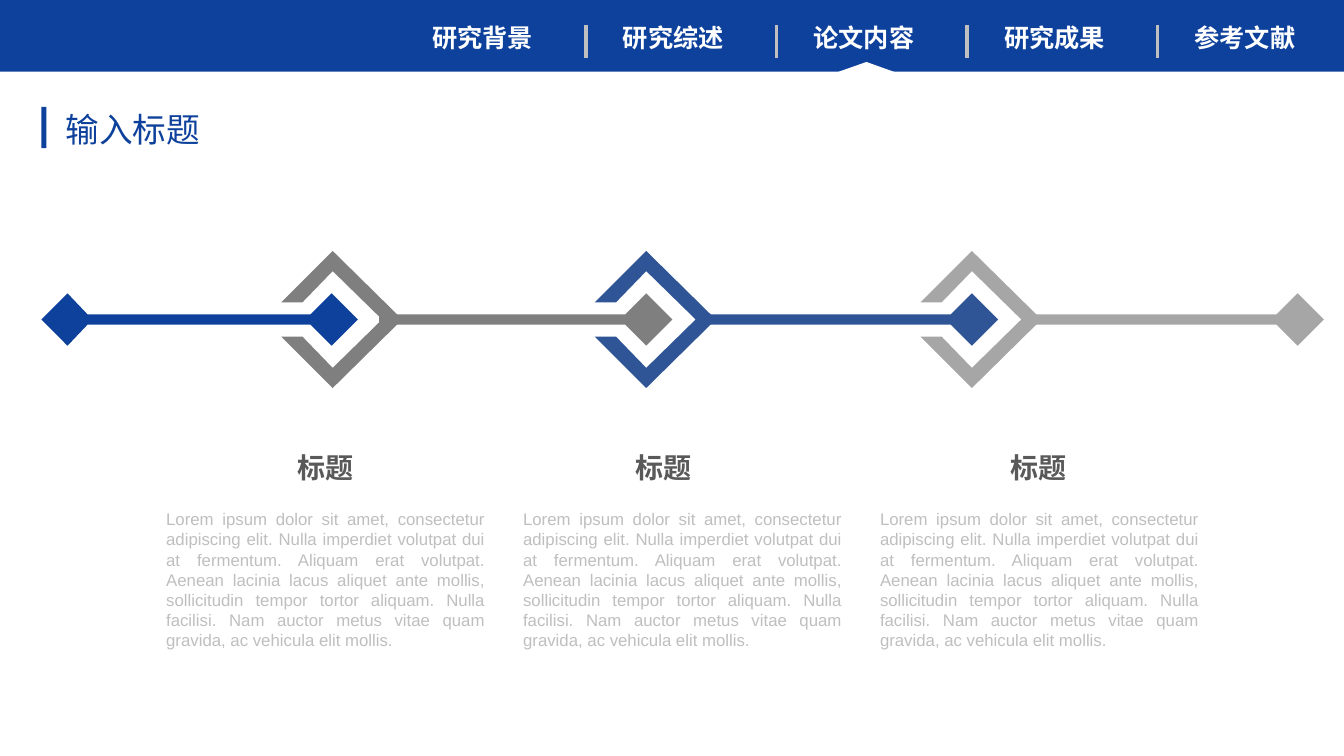
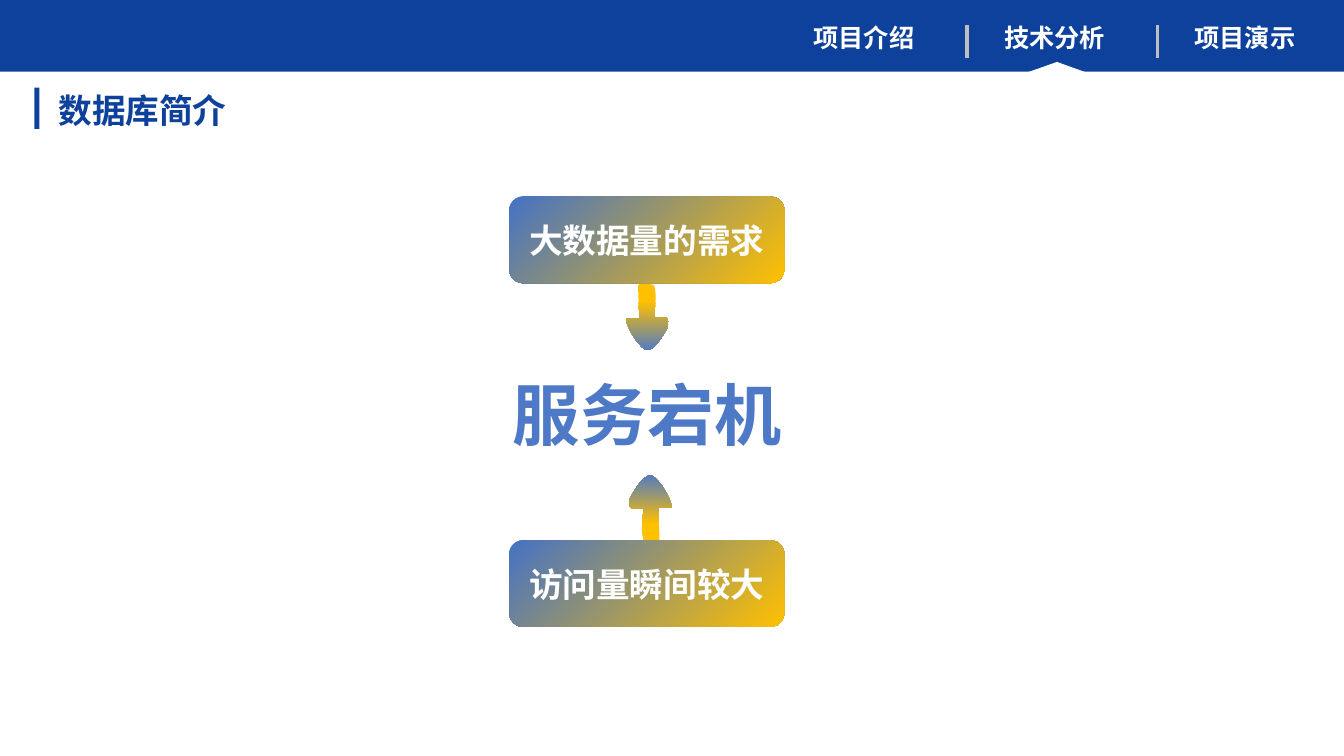
from lxml import etree
from pptx import Presentation
from pptx.dml.color import RGBColor
from pptx.enum.shapes import MSO_CONNECTOR, MSO_SHAPE
from pptx.enum.text import MSO_ANCHOR, MSO_AUTO_SIZE, PP_ALIGN
from pptx.oxml.ns import qn
from pptx.util import Inches, Pt

RECTANGLE, ROUNDED, TRIANGLE = MSO_SHAPE.RECTANGLE, MSO_SHAPE.ROUNDED_RECTANGLE, MSO_SHAPE.ISOSCELES_TRIANGLE
STRAIGHT = MSO_CONNECTOR.STRAIGHT
LEFT, CENTER, JUSTIFY = PP_ALIGN.LEFT, PP_ALIGN.CENTER, PP_ALIGN.JUSTIFY
TOP, MIDDLE = MSO_ANCHOR.TOP, MSO_ANCHOR.MIDDLE
NO_FIT = MSO_AUTO_SIZE.NONE

WIDTH, HEIGHT = 13.33, 7.5
LATIN, HAN = "Arial", "Noto Sans CJK SC"
NAVY, STEEL, GRAY, SILVER = "0E419C", "2F5597", "7F7F7F", "A6A6A6"
WHITE, PALE, CHARCOAL = "FFFFFF", "BFBFBF", "595959"
BLUE, SOFT_BLUE, GOLD = "4472C4", "4D79C7", "FFC000"

NAV_FORMAT = {"name": HAN, "size": Pt(18), "bold": True}
TITLE_FORMAT = {"name": LATIN, "size": Pt(24), "bold": False}
STRONG_FORMAT = {"name": LATIN, "size": Pt(24), "bold": True}
HEADING_FORMAT = {"name": LATIN, "size": Pt(20), "bold": True}
BODY_FORMAT = {"name": LATIN, "size": Pt(12), "bold": False}
HERO_FORMAT = {"name": LATIN, "size": Pt(48), "bold": True}

NAV_LAST, NAV_PITCH = 11.75, 1.89
AXIS = 3.17
LOREM = (
    "Lorem ipsum dolor sit amet, consectetur adipiscing elit. Nulla imperdiet "
    "volutpat dui at fermentum. Aliquam erat volutpat. Aenean lacinia lacus aliquet "
    "ante mollis, sollicitudin tempor tortor aliquam. Nulla facilisi. Nam auctor "
    "metus vitae quam gravida, ac vehicula elit mollis."
)
ARROW_START = (0.24, 0)
ARROW_CURVES = [
    ((0.27, 0), (0.28, 0.01), (0.28, 0.02)),
    ((0.31, 0.12), (0.28, 0.23), (0.28, 0.33)),
    ((0.32, 0.33), (0.38, 0.32), (0.4, 0.33)),
    ((0.46, 0.37), (0.39, 0.47), (0.37, 0.5)),
    ((0.34, 0.55), (0.29, 0.63), (0.23, 0.65)),
    ((0.18, 0.67), (0.13, 0.59), (0.1, 0.56)),
    ((0.06, 0.5), (0.01, 0.42), (0, 0.35)),
    ((-0.01, 0.34), (0.01, 0.33), (0.02, 0.34)),
    ((0.05, 0.33), (0.1, 0.34), (0.13, 0.34)),
    ((0.13, 0.23), (0.12, 0.13), (0.12, 0.03)),
    ((0.12, 0.01), (0.12, 0), (0.13, 0)),
]


def color(value):
    """Turn a hex string into a colour."""
    return RGBColor.from_string(value)


def inches(*values):
    """Convert several lengths at once."""
    return [Inches(value) for value in values]


def finish(shape, fill):
    """Give a shape a plain fill, with no line or shadow."""
    shape.shadow.inherit = False
    shape.line.fill.background()
    shape.fill.solid()
    shape.fill.fore_color.rgb = color(fill)
    return shape


def blend(shape, angle, *stops):
    """Fill a shape with a gradient of (position, colour) stops."""
    shape.fill.gradient()
    shape.fill.gradient_angle = angle
    for stop, (position, value) in zip(shape.fill.gradient_stops, stops):
        stop.position = position
        stop.color.rgb = color(value)


def add_block(page, kind, place, fill):
    """Add a filled preset shape."""
    return finish(page.shapes.add_shape(kind, *inches(*place)), fill)


def add_outline(page, points, fill):
    """Add a filled polygon through the given points."""
    start, *others = [inches(*point) for point in points]
    builder = page.shapes.build_freeform(*start)
    builder.add_line_segments(others, close=True)
    return finish(builder.convert_to_shape(), fill)


def round_outline(shape):
    """Turn each three line segments of an outline into one Bézier curve."""
    lines = list(shape.element.iter(qn("a:lnTo")))
    for first, second, end in zip(lines[::3], lines[1::3], lines[2::3]):
        curve = etree.Element(qn("a:cubicBezTo"))
        first.addprevious(curve)
        for line in (first, second, end):
            curve.append(line[0])
            line.getparent().remove(line)


def write(box, text, look, fill, align=LEFT, anchor=TOP, wrap=True, spacing=1.0):
    """Write one formatted paragraph into a shape."""
    frame = box.text_frame
    settings = {"word_wrap": wrap, "auto_size": NO_FIT, "vertical_anchor": anchor}
    for name, value in settings.items():
        setattr(frame, name, value)
    para = frame.paragraphs[0]
    para.alignment, para.line_spacing = align, spacing
    span = para.add_run()
    span.text = text
    for name, value in look.items():
        setattr(span.font, name, value)
    span.font.color.rgb = color(fill)
    etree.SubElement(span._r.get_or_add_rPr(), qn("a:ea"), typeface=HAN)


def add_text(page, place, text, look, fill, **options):
    """Add a text box."""
    write(page.shapes.add_textbox(*inches(*place)), text, look, fill, **options)


def add_separator(page, x):
    """Add an upright rule between two navigation entries."""
    rule = page.shapes.add_connector(STRAIGHT, *inches(x, 0.25, x, 0.58))
    rule.line.color.rgb = color(PALE)
    rule.line.width = Pt(2.5)
    etree.SubElement(rule.element.spPr, qn("a:effectLst"))


def add_navigation(page, entries, current):
    """Add the top band, its right-aligned entries and the pointer."""
    add_block(page, RECTANGLE, (0, 0, WIDTH, 0.71), NAVY)
    first = NAV_LAST - NAV_PITCH * (len(entries) - 1)
    for index, entry in enumerate(entries):
        left = first + NAV_PITCH * index
        add_text(page, (left, 0.17, 1.24, 0.4), entry, NAV_FORMAT, WHITE, wrap=False)
        if index:
            add_separator(page, left - 0.27)
        if entry == current:
            pointer = add_block(page, TRIANGLE, (left + 0.17, 0.615, 0.9, 0.16), WHITE)
            pointer.adjustments[0] = 0.504


def add_page(deck, title, place, look, entries, current):
    """Add a slide with the navigation band and a marked title."""
    page = deck.slides.add_slide(deck.slide_layouts[5])
    add_navigation(page, entries, current)
    left, top, width = place
    box = page.shapes.title
    box.left, box.top, box.width, box.height = inches(left, top, width, 0.5)
    write(box, title, look, NAVY, wrap=False)
    add_block(page, RECTANGLE, (left - 0.14, top + 0.03, 0.05, 0.41), NAVY)
    return page


def mirror(upper):
    """Close an outline by reflecting its (x, rise) half in the axis."""
    lower = [(x, -rise) for x, rise in reversed(upper) if rise]
    return [(x, AXIS - rise) for x, rise in upper + lower]


def add_arm(page, left, right, fill, diamond_start=False):
    """Add a timeline bar that ends in a diamond."""
    start = [(left, 0), (left + 0.26, 0.26), (left + 0.46, 0.05)] if diamond_start else [(left, 0.05)]
    end = [(right - 0.47, 0.05), (right - 0.26, 0.26), (right, 0)]
    add_outline(page, mirror(start + end), fill)


def add_ring(page, left, fill):
    """Add an open diamond ring around a timeline stop."""
    half = [(1, 0), (0.51, 0.48), (0.21, 0.17), (0, 0.17), (0.51, 0.68), (1.2, 0)]
    upper = [(left + x, AXIS - rise) for x, rise in half]
    lower = [(left + x, AXIS + rise) for x, rise in half[-2:0:-1]]
    add_outline(page, upper + lower, fill)


def add_curved_arrow(page, left, top, rotation):
    """Add a soft arrow with a curved outline."""
    points = [ARROW_START] + [point for curve in ARROW_CURVES for point in curve]
    arrow = add_outline(page, [(left + x, top + y) for x, y in points], GOLD)
    round_outline(arrow)
    blend(arrow, 270, (0.25, GOLD), (1, SOFT_BLUE))
    arrow.rotation = rotation


def add_cause(page, top, text):
    """Add a rounded gradient box with a cause."""
    box = add_block(page, ROUNDED, (5.05, top, 2.73, 0.86), BLUE)
    box.adjustments[0] = 0.162
    blend(box, 315, (0, BLUE), (1, GOLD))
    write(box, text, STRONG_FORMAT, WHITE, align=CENTER, anchor=MIDDLE)


def add_timeline_page(deck):
    """Add the slide with the three-stop timeline."""
    entries = ["研究背景", "研究综述", "论文内容", "研究成果", "参考文献"]
    page = add_page(deck, "输入标题", (0.55, 1.03, 1.55), TITLE_FORMAT, entries, "论文内容")
    add_arm(page, 0.41, 3.55, NAVY, diamond_start=True)
    stops = [(2.79, 3.76, GRAY, 1.8), (5.9, 6.99, STEEL, 5.15), (9.13, 10.22, SILVER, 8.87)]
    for index, (ring, arm, fill, heading) in enumerate(stops):
        add_ring(page, ring, fill)
        add_arm(page, arm, arm + 2.91, fill)
        add_text(page, (heading, 4.46, 2.86, 0.4), "标题", HEADING_FORMAT, CHARCOAL, align=CENTER, spacing=0.9)
        add_text(page, (1.55 + 3.54 * index, 5, 3.36, 1.51), LOREM, BODY_FORMAT, PALE, align=JUSTIFY)


def add_database_page(deck):
    """Add the slide with two causes and their effect."""
    entries = ["项目介绍", "技术分析", "项目演示"]
    page = add_page(deck, "数据库简介", (0.48, 0.84, 1.88), STRONG_FORMAT, entries, "技术分析")
    add_curved_arrow(page, 6.21, 2.82, 0)
    add_cause(page, 1.95, "大数据量的需求")
    add_text(page, (3.41, 3.65, 6.02, 0.91), "服务宕机", HERO_FORMAT, SOFT_BLUE, align=CENTER)
    add_curved_arrow(page, 6.21, 4.7, 180)
    add_cause(page, 5.36, "访问量瞬间较大")


def main():
    """Build and save the deck."""
    deck = Presentation()
    deck.slide_width, deck.slide_height = inches(WIDTH, HEIGHT)
    add_timeline_page(deck)
    add_database_page(deck)
    deck.save("out.pptx")


if __name__ == "__main__":
    main()
